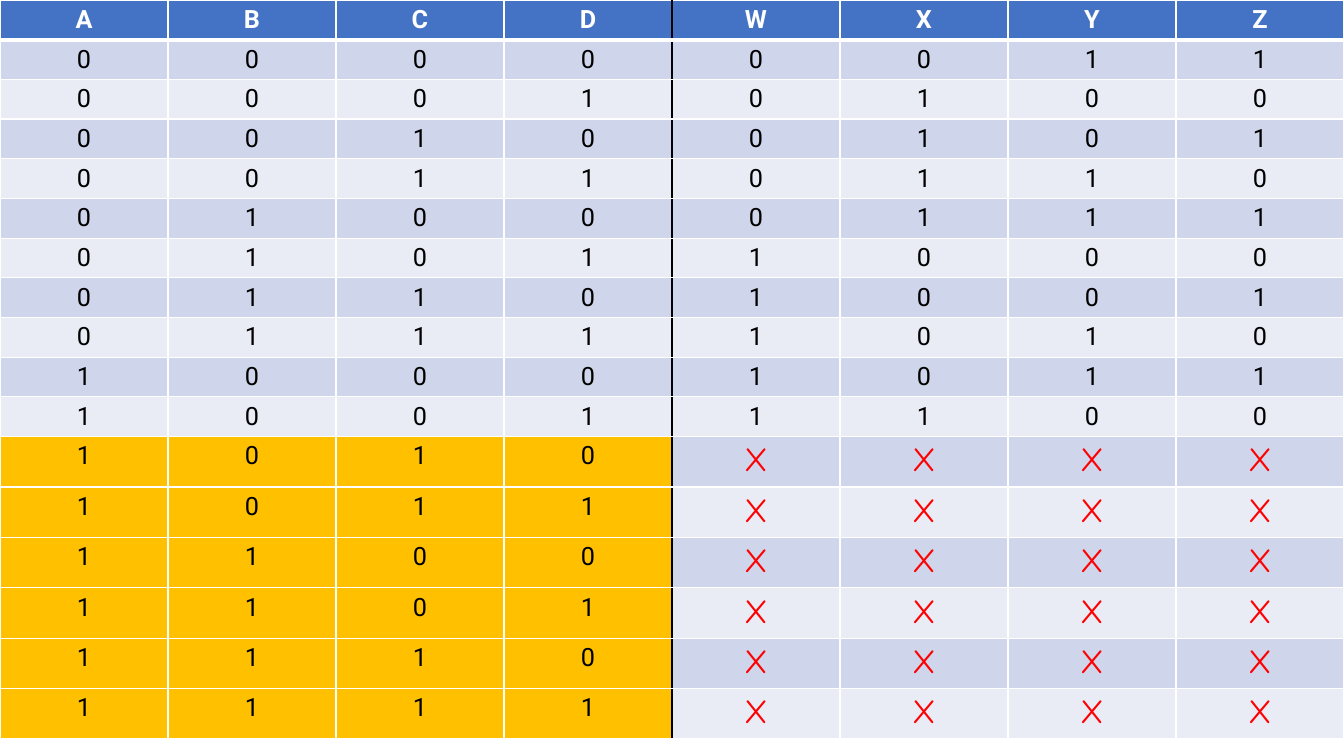
import pptx
import pptx.dml.color
import pptx.enum.text
import pptx.oxml
import pptx.oxml.ns
import pptx.util

Inches, Pt = pptx.util.Inches, pptx.util.Pt
RGBColor = pptx.dml.color.RGBColor

HEADER = "ABCDWXYZ"
TRUTH_ROWS = [
    "00000011", "00010100", "00100101", "00110110", "01000111",
    "01011000", "01101001", "01111010", "10001011", "10011100",
    "1010XXXX", "1011XXXX", "1100XXXX", "1101XXXX", "1110XXXX", "1111XXXX",
]
INPUTS = 4
UNUSED = "X"

WHITE = RGBColor(0xFF, 0xFF, 0xFF)
BLACK = RGBColor(0x00, 0x00, 0x00)
RED = RGBColor(0xFF, 0x00, 0x00)
BLUE = RGBColor(0x44, 0x72, 0xC4)
AMBER = RGBColor(0xFF, 0xC0, 0x00)
BANDS = [RGBColor(0xE9, 0xEB, 0xF5), RGBColor(0xCF, 0xD5, 0xEA)]

WIDTH, HEIGHT = Inches(13.33), Inches(7.5)
TABLE_HEIGHT = Inches(7.4)
ROW_HEIGHT, UNUSED_HEIGHT = Inches(0.38), Inches(0.5)


def add_borders(cell, borders):
    """Draw (side, colour, points) borders, given in the order L, R, T, B."""
    tcPr = cell._tc.get_or_add_tcPr()
    for i, (side, color, points) in enumerate(borders):
        tcPr.insert(i, pptx.oxml.parse_xml(
            f'<a:ln{side} {pptx.oxml.ns.nsdecls("a")} w="{Pt(points)}">'
            f'<a:solidFill><a:srgbClr val="{color}"/></a:solidFill></a:ln{side}>'))


def fill_cell(cell, text, row, col, unused):
    header = row == 0
    cross = unused and text == UNUSED
    cell.text_frame.text = text
    p = cell.text_frame.paragraphs[0]
    p.alignment = pptx.enum.text.PP_ALIGN.CENTER
    font = p.runs[0].font
    font.name = "Comic Neue" if cross else "Roboto"
    font.size = Pt(24 if cross else 18)
    font.bold = header
    font.color.rgb = WHITE if header else RED if cross else BLACK

    cell.fill.solid()
    if header:
        cell.fill.fore_color.rgb = BLUE
    elif unused and col < INPUTS:
        cell.fill.fore_color.rgb = AMBER
    else:
        cell.fill.fore_color.rgb = BANDS[row % 2]

    add_borders(cell, [
        ("L", BLACK if col == INPUTS else WHITE, 1),
        ("R", BLACK if col == INPUTS - 1 else WHITE, 1),
        ("T", WHITE, 3 if row == 1 else 1),
        ("B", WHITE, 3 if header else 1),
    ])


def main():
    prs = pptx.Presentation()
    prs.slide_width, prs.slide_height = WIDTH, HEIGHT
    slide = prs.slides.add_slide(prs.slide_layouts[6])

    rows = [HEADER] + TRUTH_ROWS
    frame = slide.shapes.add_table(len(rows), len(HEADER), 0, 0, WIDTH, TABLE_HEIGHT)
    table = frame.table
    for row, values in enumerate(rows):
        unused = row > 0 and UNUSED in values
        table.rows[row].height = UNUSED_HEIGHT if unused else ROW_HEIGHT
        for col, text in enumerate(values):
            fill_cell(table.cell(row, col), text, row, col, unused)
    frame.height = TABLE_HEIGHT

    prs.save("out.pptx")


if __name__ == "__main__":
    main()
